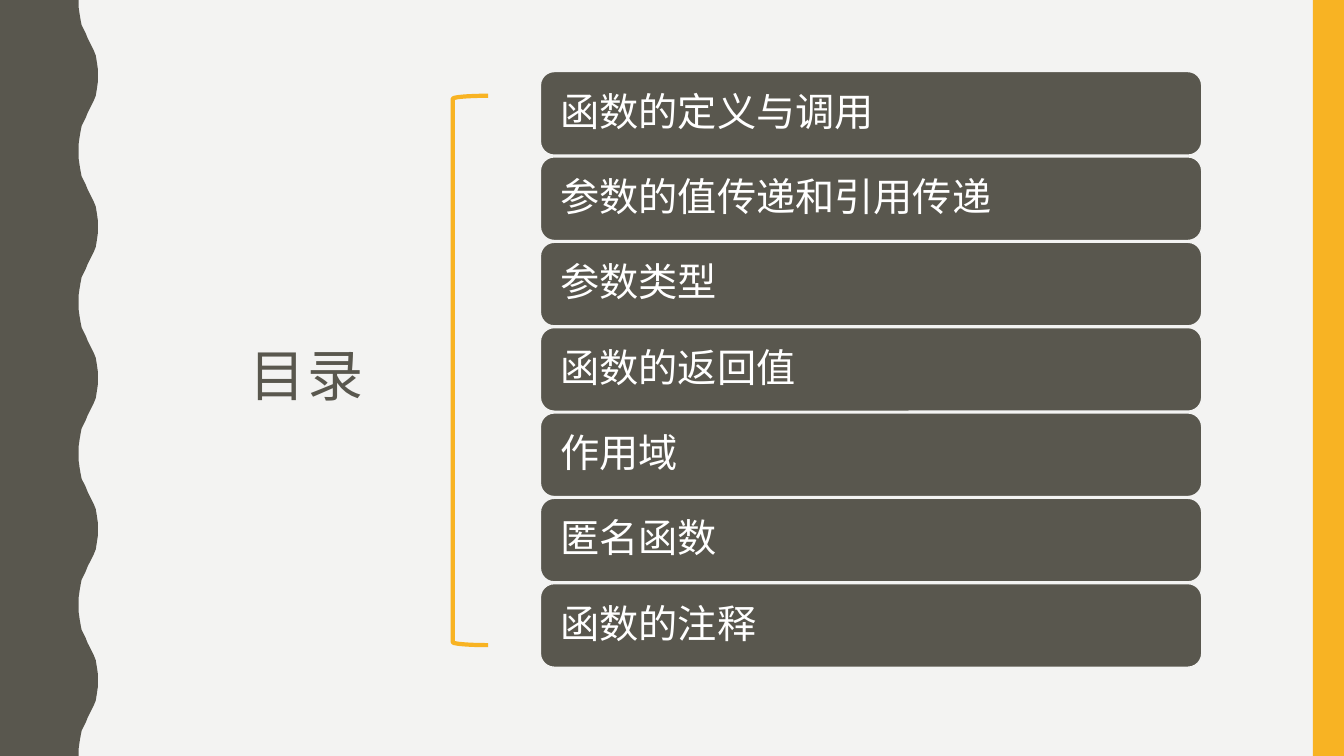
from dataclasses import dataclass

from lxml.etree import SubElement
from pptx import Presentation
from pptx.dml.color import RGBColor
from pptx.enum.shapes import MSO_SHAPE
from pptx.enum.text import MSO_ANCHOR, PP_ALIGN
from pptx.oxml.ns import qn
from pptx.util import Inches, Pt


@dataclass(frozen=True)
class Theme:
    paper: RGBColor = RGBColor.from_string("F3F3F2")
    dark: RGBColor = RGBColor.from_string("59574E")
    accent: RGBColor = RGBColor.from_string("F8B323")
    white: RGBColor = RGBColor.from_string("FFFFFF")
    font: str = "Noto Sans CJK SC"
    title_size: int = 40
    topic_size: int = 28


THEME = Theme()
SLIDE_WIDTH, SLIDE_HEIGHT = 13.33, 7.5
TOPICS = [
    "函数的定义与调用",
    "参数的值传递和引用传递",
    "参数类型",
    "函数的返回值",
    "作用域",
    "匿名函数",
    "函数的注释",
]
TOPIC_TOP, TOPIC_PITCH = 0.71, 0.8467
WAVE_PERIOD = 1.5
HALF_WAVE = [
    (0.78, 0), (0.78, 0.07), (0.79, 0.14), (0.8, 0.2), (0.81, 0.25),
    (0.83, 0.29), (0.85, 0.33), (0.87, 0.38), (0.89, 0.42), (0.91, 0.46),
    (0.93, 0.5), (0.95, 0.55), (0.96, 0.61), (0.97, 0.68), (0.97, 0.75),
]


def paint(shape, color):
    shape.shadow.inherit = False
    shape.fill.solid()
    shape.fill.fore_color.rgb = color
    shape.line.fill.background()


def write(shape, text, size, color, align, inset_x, inset_y, tracking=0):
    frame = shape.text_frame
    frame.word_wrap = True
    frame.vertical_anchor = MSO_ANCHOR.MIDDLE
    frame.margin_left = frame.margin_right = Inches(inset_x)
    frame.margin_top = frame.margin_bottom = Inches(inset_y)
    para = frame.paragraphs[0]
    para.text = text
    para.alignment = align
    para.line_spacing = 0.9
    font = para.font
    font.name = THEME.font
    font.size = Pt(size)
    font.color.rgb = color
    properties = para._p.pPr.find(qn("a:defRPr"))
    SubElement(properties, qn("a:ea")).set("typeface", THEME.font)
    if tracking:
        properties.set("spc", str(tracking * 100))


def add_wave(page):
    crest_to_trough = [(x, WAVE_PERIOD - y) for x, y in HALF_WAVE[-2::-1]]
    wave = HALF_WAVE + crest_to_trough
    edge = [
        (Inches(x), Inches(y + period * WAVE_PERIOD))
        for period in range(round(SLIDE_HEIGHT / WAVE_PERIOD))
        for x, y in wave
    ]
    builder = page.shapes.build_freeform(0, 0)
    builder.add_line_segments(edge + [(0, Inches(SLIDE_HEIGHT))])
    paint(builder.convert_to_shape(), THEME.dark)


def add_side_bar(page):
    width = 0.31
    bar = page.shapes.add_shape(
        MSO_SHAPE.RECTANGLE, Inches(SLIDE_WIDTH - width), 0,
        Inches(width), Inches(SLIDE_HEIGHT))
    paint(bar, THEME.accent)


def add_title(page, text):
    box = page.shapes.add_textbox(
        Inches(1.69), Inches(0.79), Inches(2.7), Inches(5.93))
    write(box, text, THEME.title_size, THEME.dark, PP_ALIGN.CENTER,
          0.1, 0.05, tracking=2)


def add_topic(page, text, top):
    box = page.shapes.add_shape(
        MSO_SHAPE.ROUNDED_RECTANGLE, Inches(5.36), Inches(top),
        Inches(6.56), Inches(0.83))
    paint(box, THEME.dark)
    box.line.color.rgb = THEME.paper
    box.line.width = Pt(1)
    write(box, text, THEME.topic_size, THEME.white, PP_ALIGN.LEFT, 0.16, 0.12)


def add_bracket(page):
    bracket = page.shapes.add_shape(
        MSO_SHAPE.LEFT_BRACKET, Inches(4.49), Inches(0.95),
        Inches(0.35), Inches(5.45))
    bracket.shadow.inherit = False
    bracket.fill.background()
    bracket.line.color.rgb = THEME.accent
    bracket.line.width = Pt(3)


def main():
    deck = Presentation()
    deck.slide_width = Inches(SLIDE_WIDTH)
    deck.slide_height = Inches(SLIDE_HEIGHT)
    page = deck.slides.add_slide(deck.slide_layouts[6])
    page.background.fill.solid()
    page.background.fill.fore_color.rgb = THEME.paper
    add_wave(page)
    add_side_bar(page)
    add_title(page, "目录")
    for index, topic in enumerate(TOPICS):
        add_topic(page, topic, TOPIC_TOP + index * TOPIC_PITCH)
    add_bracket(page)
    deck.save("out.pptx")


if __name__ == "__main__":
    main()
